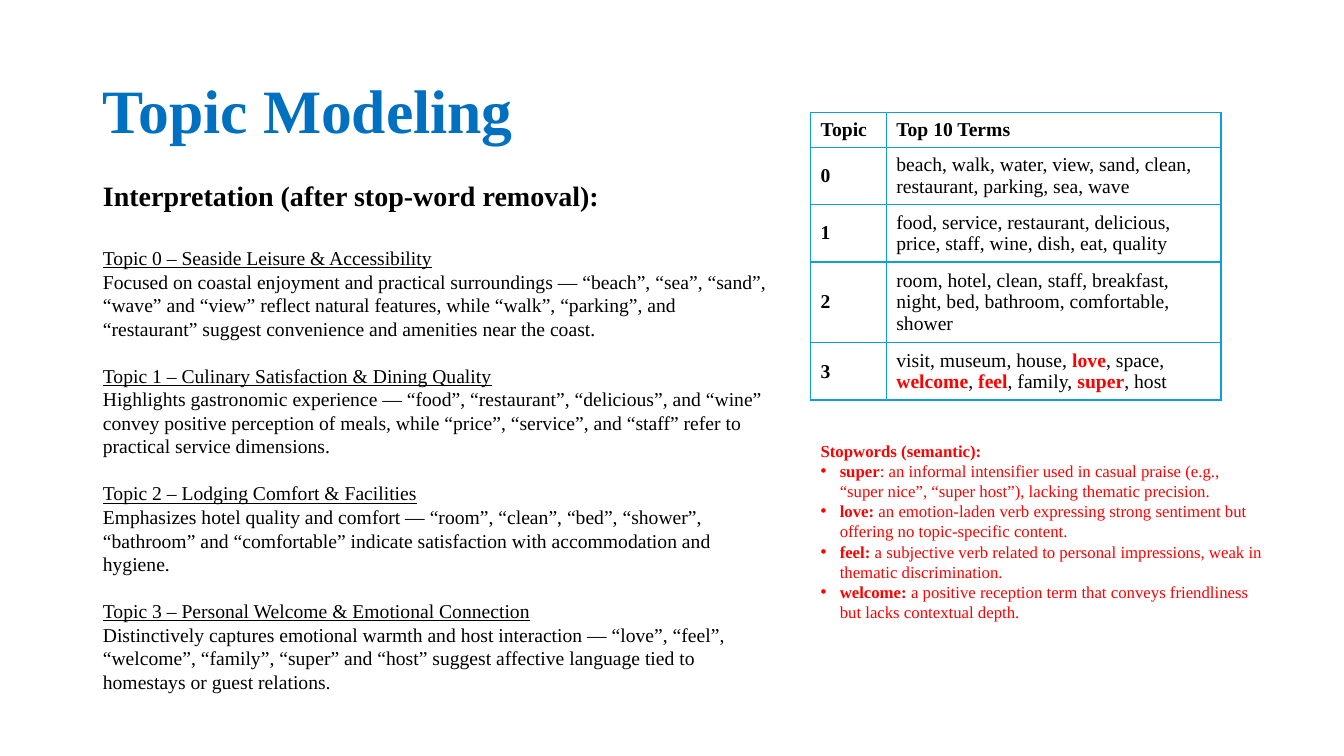
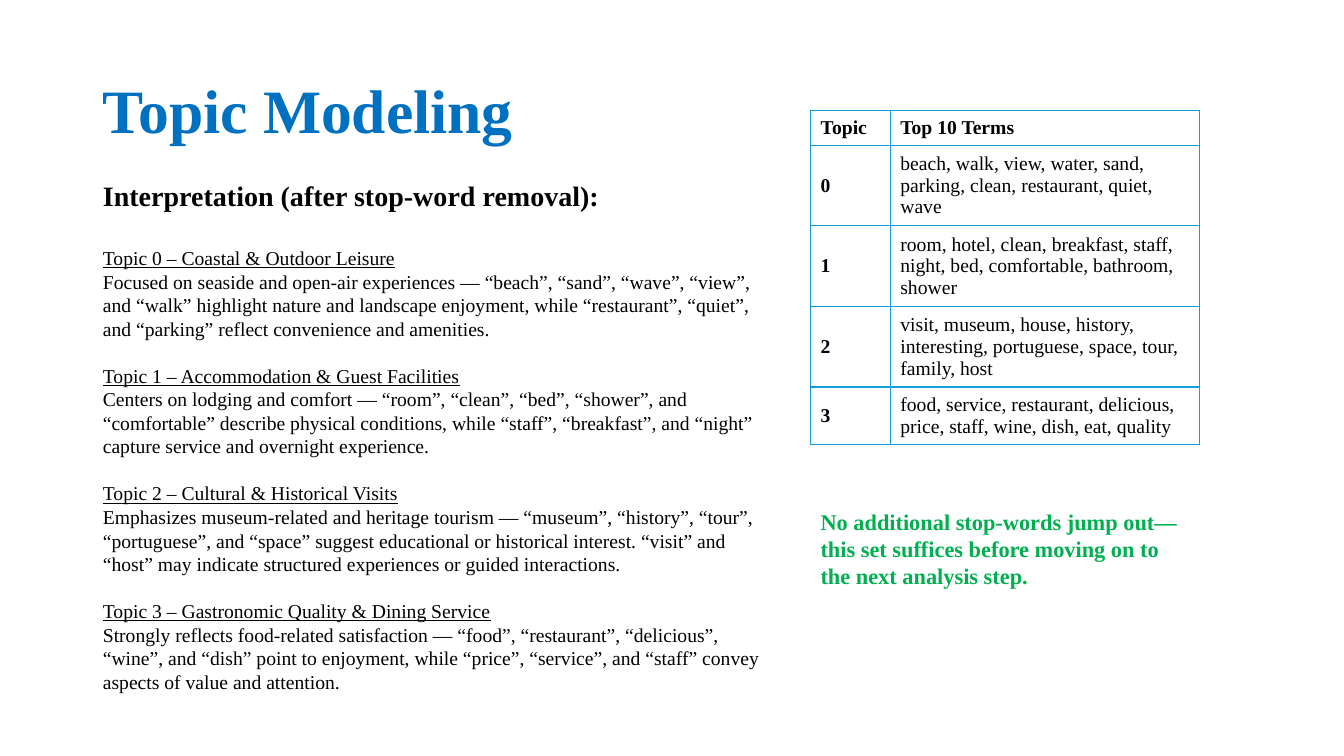
from dataclasses import dataclass

from lxml import etree
from pptx import Presentation
from pptx.dml.color import RGBColor
from pptx.enum import text as text_enum
from pptx.oxml import ns
from pptx.util import Inches, Pt


@dataclass(frozen=True)
class Theme:
    font: str = "Times New Roman"
    blue: str = "0070C0"
    black: str = "000000"
    red: str = "FF0000"
    green: str = "00B050"
    border: str = "0F9ED5"
    title_size: int = 44
    heading_size: int = 20
    remark_size: int = 16
    body_size: int = 14
    note_size: int = 12
    leading: float = 1.2


theme = Theme()


def write_paragraph(frame, text, size=theme.body_size, color=theme.black, bold=False,
                    underline=False, emphasis=None, before=0, spacing=None, bullet=False):
    paragraph = frame.paragraphs[0]
    if paragraph.runs:
        paragraph = frame.add_paragraph()
    properties = paragraph._p.get_or_add_pPr()
    indent = Inches(0.19) if bullet else 0
    properties.set("marL", str(indent))
    properties.set("indent", str(-indent))
    if bullet:
        etree.SubElement(properties, ns.qn("a:buFont"), typeface="Arial")
        etree.SubElement(properties, ns.qn("a:buChar"), char="•")
    else:
        etree.SubElement(properties, ns.qn("a:buNone"))
    paragraph.alignment = text_enum.PP_ALIGN.LEFT
    paragraph.space_before = Pt(before)
    paragraph.line_spacing = spacing or Pt(size * theme.leading)
    for index, part in enumerate(text.split("*")):
        if not part:
            continue
        emphasized = index % 2 == 1
        run = paragraph.add_run()
        run.text = part
        run.font.name = theme.font
        run.font.size = Pt(size)
        run.font.bold = bold or emphasized
        run.font.underline = underline
        run.font.color.rgb = RGBColor.from_string(emphasis if emphasized and emphasis else color)


def outline_cell(cell):
    properties = cell._tc.get_or_add_tcPr()
    for position, side in enumerate(("a:lnL", "a:lnR", "a:lnT", "a:lnB")):
        line = etree.Element(ns.qn(side), w=str(Pt(1)))
        fill = etree.SubElement(line, ns.qn("a:solidFill"))
        etree.SubElement(fill, ns.qn("a:srgbClr"), val=theme.border)
        properties.insert(position, line)


slides = [
    {
        "topics": [
            ("Topic 0 – Seaside Leisure & Accessibility",
             "Focused on coastal enjoyment and practical surroundings — “beach”, “sea”, “sand”, “wave” and “view” "
             "reflect natural features, while “walk”, “parking”, and “restaurant” suggest convenience and amenities "
             "near the coast."),
            ("Topic 1 – Culinary Satisfaction & Dining Quality",
             "Highlights gastronomic experience — “food”, “restaurant”, “delicious”, and “wine” convey positive "
             "perception of meals, while “price”, “service”, and “staff” refer to practical service dimensions."),
            ("Topic 2 – Lodging Comfort & Facilities",
             "Emphasizes hotel quality and comfort — “room”, “clean”, “bed”, “shower”, “bathroom” and “comfortable” "
             "indicate satisfaction with accommodation and hygiene."),
            ("Topic 3 – Personal Welcome & Emotional Connection",
             "Distinctively captures emotional warmth and host interaction — “love”, “feel”, “welcome”, “family”, "
             "“super” and “host” suggest affective language tied to homestays or guest relations."),
        ],
        "table_top": 1.12,
        "columns": (0.75, 3.32),
        "terms": [
            ("beach, walk, water, view, sand, clean, restaurant, parking, sea, wave", 2),
            ("food, service, restaurant, delicious, price, staff, wine, dish, eat, quality", 2),
            ("room, hotel, clean, staff, breakfast, night, bed, bathroom, comfortable, shower", 3),
            ("visit, museum, house, *love*, space, *welcome*, *feel*, family, *super*, host", 2),
        ],
        "note_box": (8.04, 4.32, 4.61, 1.92),
        "note_format": {"size": theme.note_size, "color": theme.red},
        "note": "*Stopwords (semantic):*",
        "note_bullets": [
            "*super*: an informal intensifier used in casual praise (e.g., “super nice”, “super host”), lacking "
            "thematic precision.",
            "*love: *an emotion-laden verb expressing strong sentiment but offering no topic-specific content.",
            "*feel: *a subjective verb related to personal impressions, weak in thematic discrimination.",
            "*welcome: *a positive reception term that conveys friendliness but lacks contextual depth.",
        ],
    },
    {
        "topics": [
            ("Topic 0 – Coastal & Outdoor Leisure",
             "Focused on seaside and open-air experiences — “beach”, “sand”, “wave”, “view”, and “walk” highlight "
             "nature and landscape enjoyment, while “restaurant”, “quiet”, and “parking” reflect convenience and "
             "amenities."),
            ("Topic 1 – Accommodation & Guest Facilities",
             "Centers on lodging and comfort — “room”, “clean”, “bed”, “shower”, and “comfortable” describe physical "
             "conditions, while “staff”, “breakfast”, and “night” capture service and overnight experience."),
            ("Topic 2 – Cultural & Historical Visits",
             "Emphasizes museum-related and heritage tourism — “museum”, “history”, “tour”, “portuguese”, and “space” "
             "suggest educational or historical interest. “visit” and “host” may indicate structured experiences or "
             "guided interactions."),
            ("Topic 3 – Gastronomic Quality & Dining Service",
             "Strongly reflects food-related satisfaction — “food”, “restaurant”, “delicious”, “wine”, and “dish” "
             "point to enjoyment, while “price”, “service”, and “staff” convey aspects of value and attention."),
        ],
        "table_top": 1.1,
        "columns": (0.79, 3.07),
        "terms": [
            ("beach, walk, view, water, sand, parking, clean, restaurant, quiet, wave", 3),
            ("room, hotel, clean, breakfast, staff, night, bed, comfortable, bathroom, shower", 3),
            ("visit, museum, house, history, interesting, portuguese, space, tour, family, host", 3),
            ("food, service, restaurant, delicious, price, staff, wine, dish, eat, quality", 2),
        ],
        "note_box": (8.04, 4.99, 3.77, 0.91),
        "note_format": {"size": theme.remark_size, "color": theme.green},
        "note": "*No additional stop-words jump out—this set suffices before moving on to the next analysis step.*",
        "note_bullets": [],
    },
]

presentation = Presentation()
presentation.slide_width = Inches(13.33)
presentation.slide_height = Inches(7.5)

layout = presentation.slide_layouts[1]
placeholder_boxes = ((0.92, 0.4, 11.5, 1.45), (0.92, 1.7, 6.81, 5.25))
for placeholder, box in zip(layout.placeholders, placeholder_boxes):
    placeholder.left, placeholder.top, placeholder.width, placeholder.height = map(Inches, box)
    placeholder.text_frame.vertical_anchor = text_enum.MSO_ANCHOR.MIDDLE

for content in slides:
    slide = presentation.slides.add_slide(layout)
    title, body = (placeholder.text_frame for placeholder in slide.placeholders)
    title.auto_size = body.auto_size = text_enum.MSO_AUTO_SIZE.NONE
    write_paragraph(title, "Topic Modeling", size=theme.title_size, color=theme.blue, bold=True, spacing=0.9)

    write_paragraph(body, "Interpretation (after stop-word removal):", size=theme.heading_size, bold=True)
    gap = theme.heading_size * theme.leading
    for heading, interpretation in content["topics"]:
        write_paragraph(body, heading, underline=True, before=gap)
        write_paragraph(body, interpretation)
        gap = theme.body_size * theme.leading

    rows = [("*Topic*", "*Top 10 Terms*", 1)]
    rows += [(f"*{number}*", terms, lines) for number, (terms, lines) in enumerate(content["terms"])]
    heights = [0.11 + 0.23 * lines for _, _, lines in rows]
    table = slide.shapes.add_table(
        len(rows), 2, Inches(8.04), Inches(content["table_top"]),
        Inches(sum(content["columns"])), Inches(sum(heights))).table
    table.first_row = table.horz_banding = False
    for column, width in zip(table.columns, content["columns"]):
        column.width = Inches(width)
    for row, height, (topic, terms, _) in zip(table.rows, heights, rows):
        row.height = Inches(height)
        for cell, text in zip(row.cells, (topic, terms)):
            cell.fill.background()
            cell.vertical_anchor = text_enum.MSO_ANCHOR.MIDDLE
            outline_cell(cell)
            emphasis = theme.red if text == terms and topic != "*Topic*" else None
            write_paragraph(cell.text_frame, text, emphasis=emphasis, spacing=1.0)

    note = slide.shapes.add_textbox(*map(Inches, content["note_box"])).text_frame
    note.word_wrap = True
    write_paragraph(note, content["note"], **content["note_format"])
    for item in content["note_bullets"]:
        write_paragraph(note, item, bullet=True, **content["note_format"])

presentation.save("out.pptx")
